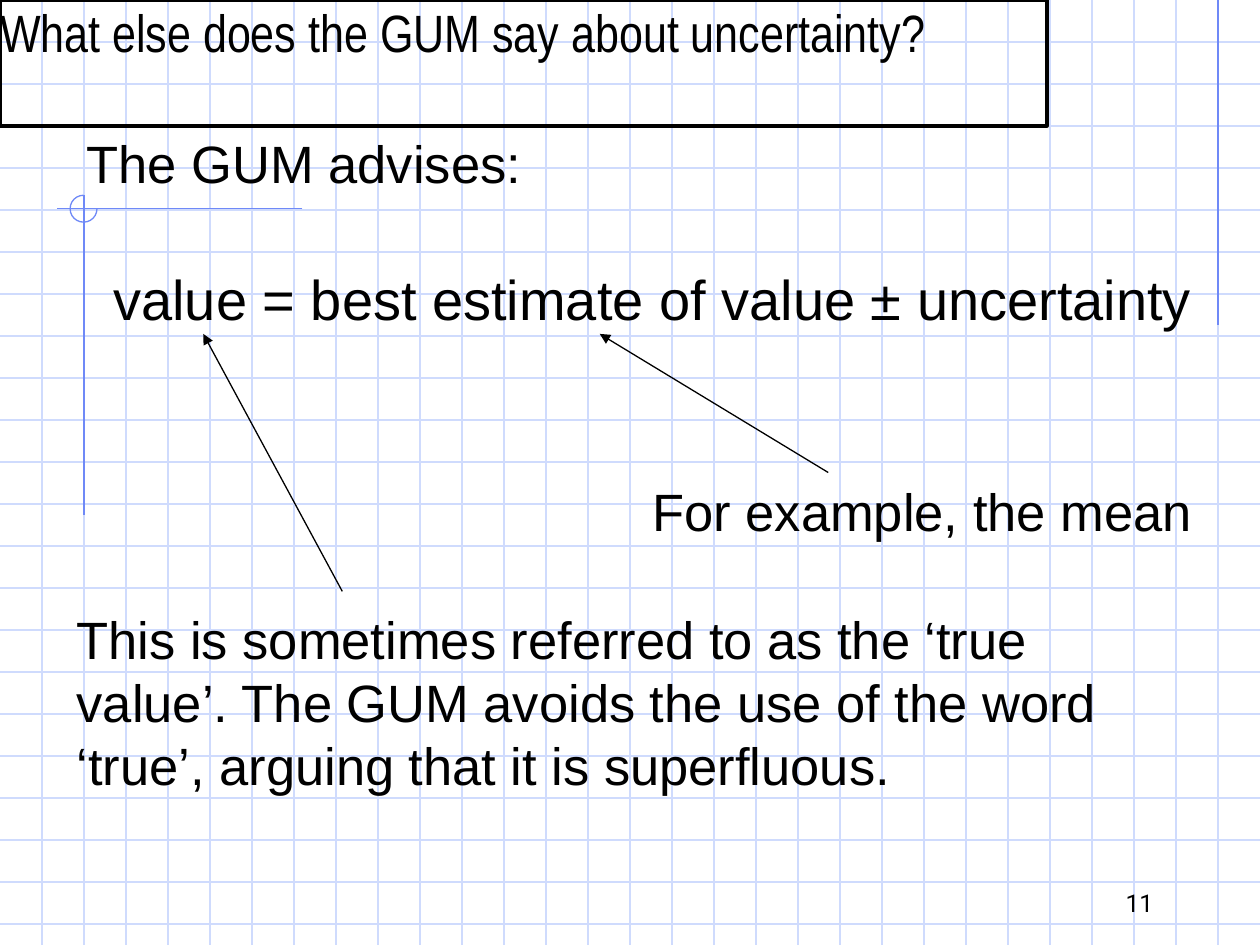
from pptx import Presentation
from pptx.dml.color import RGBColor
from pptx.enum.shapes import MSO_CONNECTOR as Link, MSO_SHAPE as Form
from pptx.enum.text import MSO_ANCHOR as Anchor, PP_ALIGN as Align
from pptx.oxml.ns import qn
from pptx.util import Inches, Pt
from lxml.etree import SubElement

PALE = RGBColor(0xCF, 0xDB, 0xFD)
BLUE = RGBColor(0x6F, 0x89, 0xF7)
BLACK = RGBColor(0, 0, 0)

deck = Presentation()
deck.slide_width, deck.slide_height = Inches(10), Inches(7.5)
slide = deck.slides.add_slide(deck.slide_layouts[6])
shapes = slide.shapes

# All lengths below are in cells of the graph paper, 30 to the slide's width
COLS, ROWS = 30, 22.5
CELL = deck.slide_width / COLS


def rule(x1, y1, x2, y2, color, arrow=False):
    ends = [round(n * CELL) for n in (x1, y1, x2, y2)]
    line = shapes.add_connector(Link.STRAIGHT, *ends)
    line.line.color.rgb = color
    line.line.width = Pt(0.75)
    props = line._element.spPr
    if arrow:
        SubElement(props.find(qn("a:ln")), qn("a:tailEnd"), type="triangle")
    SubElement(props, qn("a:effectLst"))


def write(shape, text, size, font, pad=(0.1, 0.05), align=Align.LEFT, anchor=Anchor.TOP):
    frame = shape.text_frame
    frame.word_wrap = True
    frame.vertical_anchor = anchor
    frame.margin_left = frame.margin_right = Inches(pad[0])
    frame.margin_top = frame.margin_bottom = Inches(pad[1])
    para = frame.paragraphs[0]
    para.alignment = align
    run = para.add_run()
    run.text = text
    run.font.size = Pt(size)
    run.font.name = font
    run.font.color.rgb = BLACK


# Graph paper
for row in range(1, 23):
    rule(0, row, COLS, row, PALE)
for col in range(1, COLS):
    rule(col, 0, col, ROWS, PALE)

# Blue margin lines and the open ring where two of them cross
rule(29, 0, 29, 7.74, BLUE)
rule(7.2, 4.97, 1.35, 4.97, BLUE)
rule(2, 4.65, 2, 12.27, BLUE)
ring = shapes.add_shape(Form.ARC, *[round(n * CELL) for n in (1.67, 4.65, 0.64, 0.64)])
ring.adjustments[0] = 0
ring.adjustments[1] = 162  # 270 degrees
ring.shadow.inherit = False
ring.fill.background()
ring.line.color.rgb = BLUE
ring.line.width = Pt(0.75)

# Statement and its remarks
for text, size, pad, area in (
    ("The GUM advises:", 30, (0.1, 0.05), (1.77, 2.97, 15.12, 1.8)),
    ("value = best estimate of value ± uncertainty", 32, (0, 0), (2.7, 6.3, 26.22, 1.6)),
    ("For example, the mean", 30, (0.1, 0.05), (15.24, 11.25, 13.71, 1.8)),
    ("This is sometimes referred to as the ‘true value’. The GUM avoids the use "
     "of the word ‘true’, arguing that it is superfluous.",
     30, (0.1, 0.05), (1.53, 14.31, 26.7, 4.8)),
):
    box = shapes.add_textbox(*[round(n * CELL) for n in area])
    write(box, text, size, "Arial", pad)

# Arrows from the remarks up to the statement
rule(19.72, 11.25, 14.28, 7.95, BLACK, arrow=True)
rule(8.15, 14.08, 4.84, 7.95, BLACK, arrow=True)

# Title frame
title = shapes.add_shape(Form.RECTANGLE, 0, 0, round(24.93 * CELL), round(3 * CELL))
title.shadow.inherit = False
title.fill.background()
title.line.color.rgb = BLACK
title.line.width = Pt(2)
write(title, "What else does the GUM say about uncertainty?", 30, "Arial Narrow", (0, 0))

# Page number
page = shapes.add_textbox(*[round(n * CELL) for n in (21.51, 20.5, 6.24, 1.5)])
write(page, "11", 14, "Roboto", align=Align.RIGHT, anchor=Anchor.BOTTOM)

deck.save("out.pptx")
